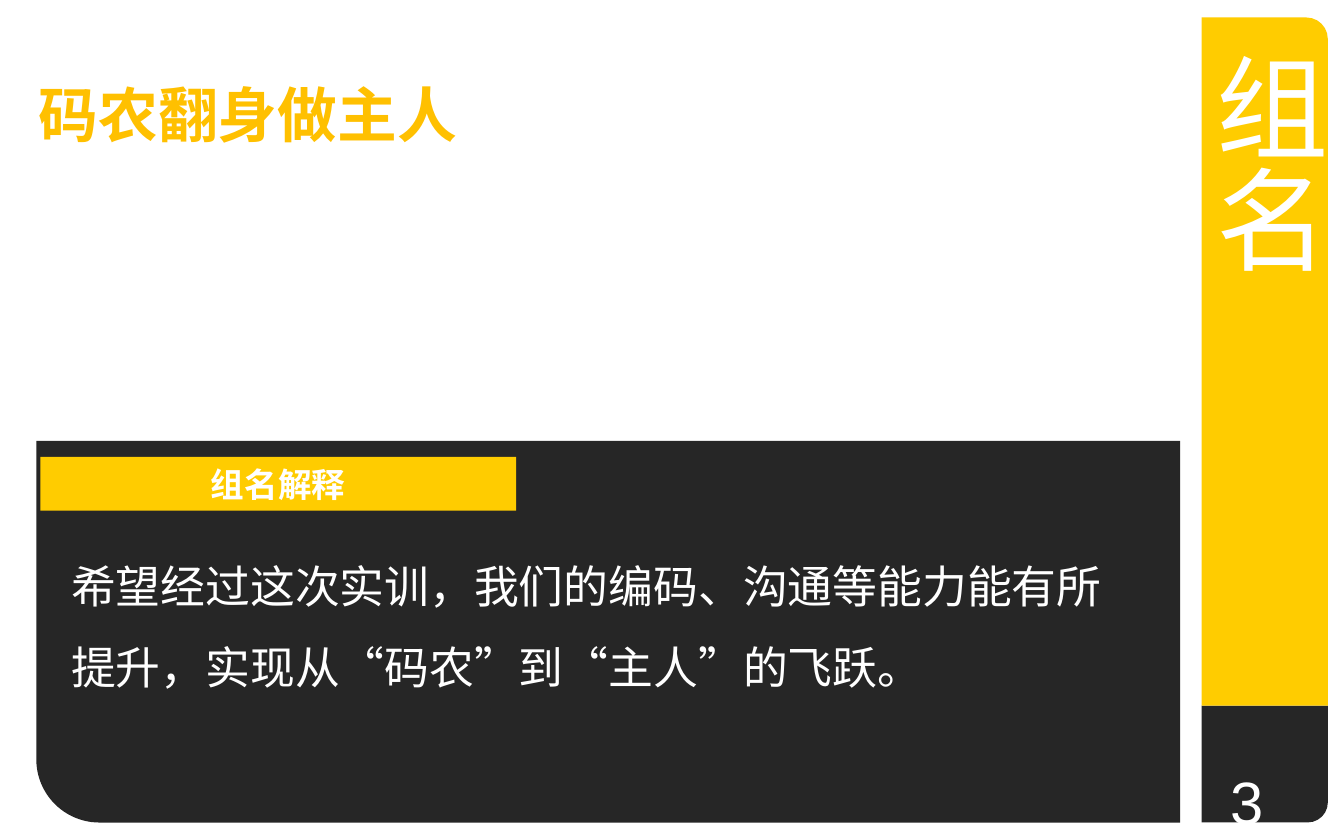
from pptx import Presentation
from pptx.dml.color import RGBColor
from pptx.enum.shapes import MSO_SHAPE as Shape
from pptx.enum.text import MSO_ANCHOR as Anchor, MSO_AUTO_SIZE as AutoSize, PP_ALIGN as Align
from pptx.oxml.ns import qn
from pptx.util import Inches, Pt

CJK = "Noto Sans CJK SC"
WHITE, DARK, YELLOW, GOLD = "FFFFFF", "262626", "FFCC00", "FFC000"


def paint(color_format, color):
    color_format.rgb = RGBColor.from_string(color)


def write(shape, text, size, color=WHITE, font=CJK, bold=False, align=Align.LEFT,
          anchor=Anchor.TOP, spacing=None, wrap=True, grow=False):
    frame = shape.text_frame
    frame.word_wrap = wrap
    frame.vertical_anchor = anchor
    frame.auto_size = AutoSize.SHAPE_TO_FIT_TEXT if grow else AutoSize.NONE
    paragraph = frame.paragraphs[0]
    paragraph.alignment = align
    paragraph.line_spacing = spacing
    run = paragraph.add_run()
    run.text = text
    run.font.size = Pt(size)
    run.font.bold = bold
    run.font.name = font
    paint(run.font.color, color)
    east_asian = run.font._element.makeelement(qn("a:ea"), {"typeface": font})
    run.font._element.find(qn("a:latin")).addnext(east_asian)


presentation = Presentation()
presentation.slide_width = Inches(10)
presentation.slide_height = Inches(6.25)
slide = presentation.slides.add_slide(presentation.slide_layouts[6])
shapes = slide.shapes

# Blocks with one rounded corner: left, top, width, height, radius, rotation, colour.
# The rounded corner is top right, and rotation moves it clockwise.
blocks = [
    (8.94, 5.25, 0.94, 0.87, 0.15, 90, DARK),
    (8.94, 0.13, 0.94, 5.12, 0.16, 0, YELLOW),
    (0.27, 3.28, 8.51, 2.84, 0.47, 180, DARK),
]
for left, top, width, height, radius, rotation, color in blocks:
    if rotation == 90:
        left, top = left + (width - height) / 2, top + (height - width) / 2
        width, height = height, width
    block = shapes.add_shape(Shape.ROUND_1_RECTANGLE, Inches(left), Inches(top),
                             Inches(width), Inches(height))
    block.adjustments[0] = radius / min(width, height)
    block.rotation = rotation
    block.shadow.inherit = False
    block.fill.solid()
    paint(block.fill.fore_color, color)
    block.line.fill.background()

page_number = shapes.add_textbox(Inches(7.17), Inches(5.79), Inches(2.33), Inches(0.33))
write(page_number, "3", 32, font="Arial", align=Align.RIGHT, anchor=Anchor.MIDDLE)

side_title = shapes.add_textbox(Inches(8.78), Inches(0.29), Inches(1.21), Inches(1.77))
write(side_title, "组名", 60, wrap=False, grow=True)
side_title.text_frame._txBody.bodyPr.set("vert", "eaVert")

group_name = shapes.add_textbox(Inches(0.19), Inches(0.53), Inches(3.8), Inches(0.64))
write(group_name, "码农翻身做主人", 32, color=GOLD, bold=True, grow=True)

explanation = shapes.add_textbox(Inches(0.43), Inches(3.91), Inches(8.19), Inches(1.97))
write(explanation, "希望经过这次实训，我们的编码、沟通等能力能有所提升，实现从“码农”到“主人”的飞跃。",
      24, spacing=1.5)

label = shapes.add_shape(Shape.RECTANGLE, Inches(0.3), Inches(3.4), Inches(3.54), Inches(0.4))
label.shadow.inherit = False
label.fill.solid()
paint(label.fill.fore_color, YELLOW)
label.line.fill.background()
write(label, "组名解释", 18, bold=True, align=Align.CENTER, anchor=Anchor.MIDDLE)

presentation.save("out.pptx")
